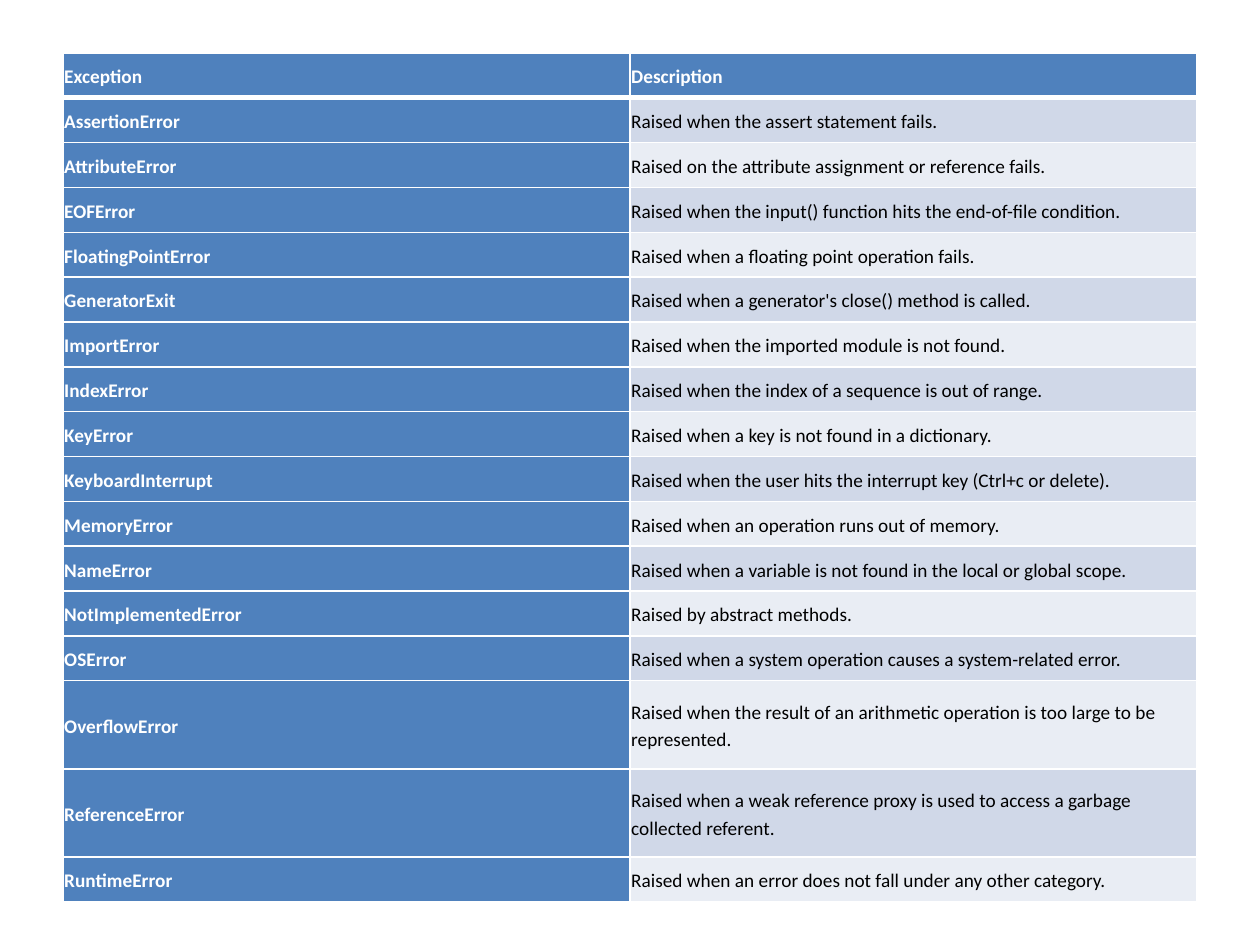
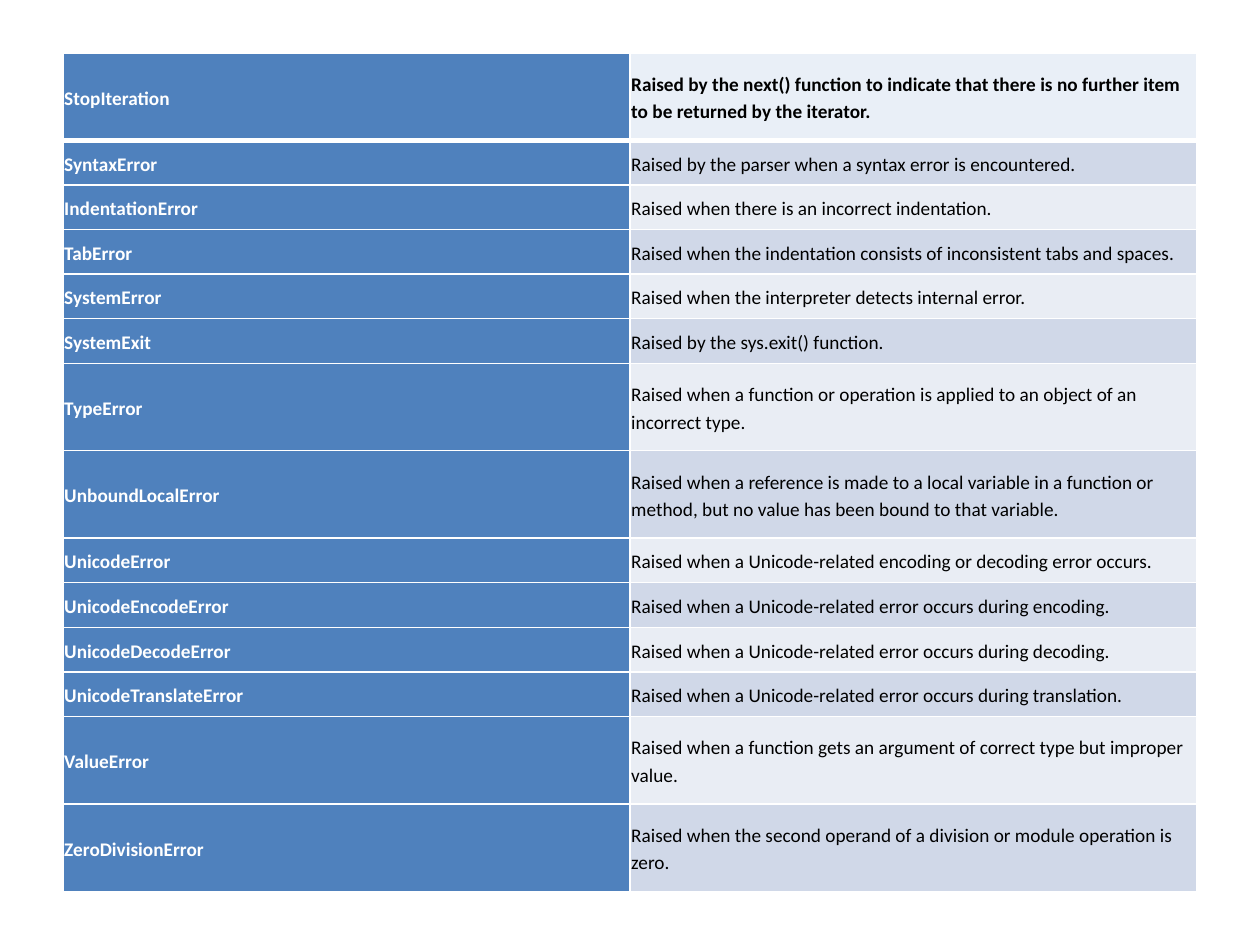
from lxml import etree
from pptx import Presentation
from pptx import util as u
from pptx.dml import color
from pptx.enum import text
from pptx.oxml import ns

# Shared measures: 1000 px to the inch
EMU_PER_PX = 914.4
PAGE_WIDTH, PAGE_HEIGHT = 10000, 7500
TABLE_LEFT, TABLE_TOP, TABLE_WIDTH = 500, 420, 9000
CELL_INSET = 10
CHARS_PER_LINE = 70
BLANK_LAYOUT = 6
GRID_PT, HEADER_RULE_PT = 1, 3

COLORS = {
    "blue": "4F81BD",
    "band_dark": "D0D8E8",
    "band_light": "E9EDF4",
    "pale": "E9EFF7",
    "white": "FFFFFF",
    "black": "000000",
}
FONT = {"name": "Calibri", "size": u.Pt(11)}
PARAGRAPH = {"line_spacing": 1.15, "space_after": u.Pt(10)}

COMMON_ERRORS = [
    ("Exception", "Description"),
    ("AssertionError", "Raised when the assert statement fails."),
    ("AttributeError", "Raised on the attribute assignment or reference fails."),
    ("EOFError", "Raised when the input() function hits the end-of-file condition."),
    ("FloatingPointError", "Raised when a floating point operation fails."),
    ("GeneratorExit", "Raised when a generator's close() method is called."),
    ("ImportError", "Raised when the imported module is not found."),
    ("IndexError", "Raised when the index of a sequence is out of range."),
    ("KeyError", "Raised when a key is not found in a dictionary."),
    ("KeyboardInterrupt", "Raised when the user hits the interrupt key (Ctrl+c or delete)."),
    ("MemoryError", "Raised when an operation runs out of memory."),
    ("NameError", "Raised when a variable is not found in the local or global scope."),
    ("NotImplementedError", "Raised by abstract methods."),
    ("OSError", "Raised when a system operation causes a system-related error."),
    ("OverflowError", "Raised when the result of an arithmetic operation is too large "
                      "to be represented."),
    ("ReferenceError", "Raised when a weak reference proxy is used to access a garbage "
                       "collected referent."),
    ("RuntimeError", "Raised when an error does not fall under any other category."),
]
FURTHER_ERRORS = [
    ("StopIteration", "Raised by the next() function to indicate that there is no further "
                      "item to be returned by the iterator."),
    ("SyntaxError", "Raised by the parser when a syntax error is encountered."),
    ("IndentationError", "Raised when there is an incorrect indentation."),
    ("TabError", "Raised when the indentation consists of inconsistent tabs and spaces."),
    ("SystemError", "Raised when the interpreter detects internal error."),
    ("SystemExit", "Raised by the sys.exit() function."),
    ("TypeError", "Raised when a function or operation is applied to an object of an "
                  "incorrect type."),
    ("UnboundLocalError", "Raised when a reference is made to a local variable in a function "
                          "or method, but no value has been bound to that variable."),
    ("UnicodeError", "Raised when a Unicode-related encoding or decoding error occurs."),
    ("UnicodeEncodeError", "Raised when a Unicode-related error occurs during encoding."),
    ("UnicodeDecodeError", "Raised when a Unicode-related error occurs during decoding."),
    ("UnicodeTranslateError", "Raised when a Unicode-related error occurs during translation."),
    ("ValueError", "Raised when a function gets an argument of correct type but improper "
                   "value."),
    ("ZeroDivisionError", "Raised when the second operand of a division or module operation "
                          "is zero."),
]


def px(length):
    return u.Emu(round(length * EMU_PER_PX))


def rgb(name):
    return color.RGBColor.from_string(COLORS[name])


def set_format(target, values):
    for name, value in values.items():
        setattr(target, name, value)


def add_borders(cell, row_index):
    """Rule the cell in white, with a heavier line under the first row."""
    top = HEADER_RULE_PT if row_index == 1 else GRID_PT
    bottom = HEADER_RULE_PT if row_index == 0 else GRID_PT
    widths = {"lnL": GRID_PT, "lnR": GRID_PT, "lnT": top, "lnB": bottom}
    properties = cell._tc.get_or_add_tcPr()
    for position, (side, width) in enumerate(widths.items()):
        line = etree.Element(ns.qn(f"a:{side}"), w=str(u.Pt(width)))
        fill = etree.SubElement(line, ns.qn("a:solidFill"))
        etree.SubElement(fill, ns.qn("a:srgbClr"), val=COLORS["white"])
        properties.insert(position, line)


def fill_cell(cell, words, fill, ink, bold):
    sides = ("left", "top", "right", "bottom")
    set_format(cell, {f"margin_{side}": px(CELL_INSET) for side in sides})
    cell.vertical_anchor = text.MSO_ANCHOR.MIDDLE
    cell.fill.solid()
    cell.fill.fore_color.rgb = rgb(fill)
    para = cell.text_frame.paragraphs[0]
    set_format(para, PARAGRAPH)
    span = para.add_run()
    span.text = words
    set_format(span.font, {**FONT, "bold": bold})
    span.font.color.rgb = rgb(ink)


def add_error_table(page, box, errors, row_heights, header_fill, header_ink):
    """Two equal columns: error names on blue, descriptions on bands."""
    left, top, width = box
    short, tall = row_heights
    heights = [tall if len(description) > CHARS_PER_LINE else short
               for _, description in errors]
    frame = page.shapes.add_table(len(errors), 2, px(left), px(top),
                                  px(width), px(sum(heights)))
    table = frame.table
    table.horz_banding = False
    for column in table.columns:
        column.width = px(width // 2)

    for index, (name, description) in enumerate(errors):
        table.rows[index].height = px(heights[index])
        name_cell, description_cell = table.rows[index].cells
        fill_cell(name_cell, name, "blue", "white", True)
        if index == 0:
            fill_cell(description_cell, description, header_fill, header_ink, True)
        else:
            band = "band_dark" if index % 2 else "band_light"
            fill_cell(description_cell, description, band, "black", False)
        for cell in (name_cell, description_cell):
            add_borders(cell, index)


def main():
    deck = Presentation()
    deck.slide_width, deck.slide_height = px(PAGE_WIDTH), px(PAGE_HEIGHT)
    box = (TABLE_LEFT, TABLE_TOP, TABLE_WIDTH)
    tables = [
        (COMMON_ERRORS, (356, 700), "blue", "white"),
        (FURTHER_ERRORS, (354, 694), "pale", "black"),
    ]
    for table in tables:
        page = deck.slides.add_slide(deck.slide_layouts[BLANK_LAYOUT])
        add_error_table(page, box, *table)
    deck.save("out.pptx")


if __name__ == "__main__":
    main()
